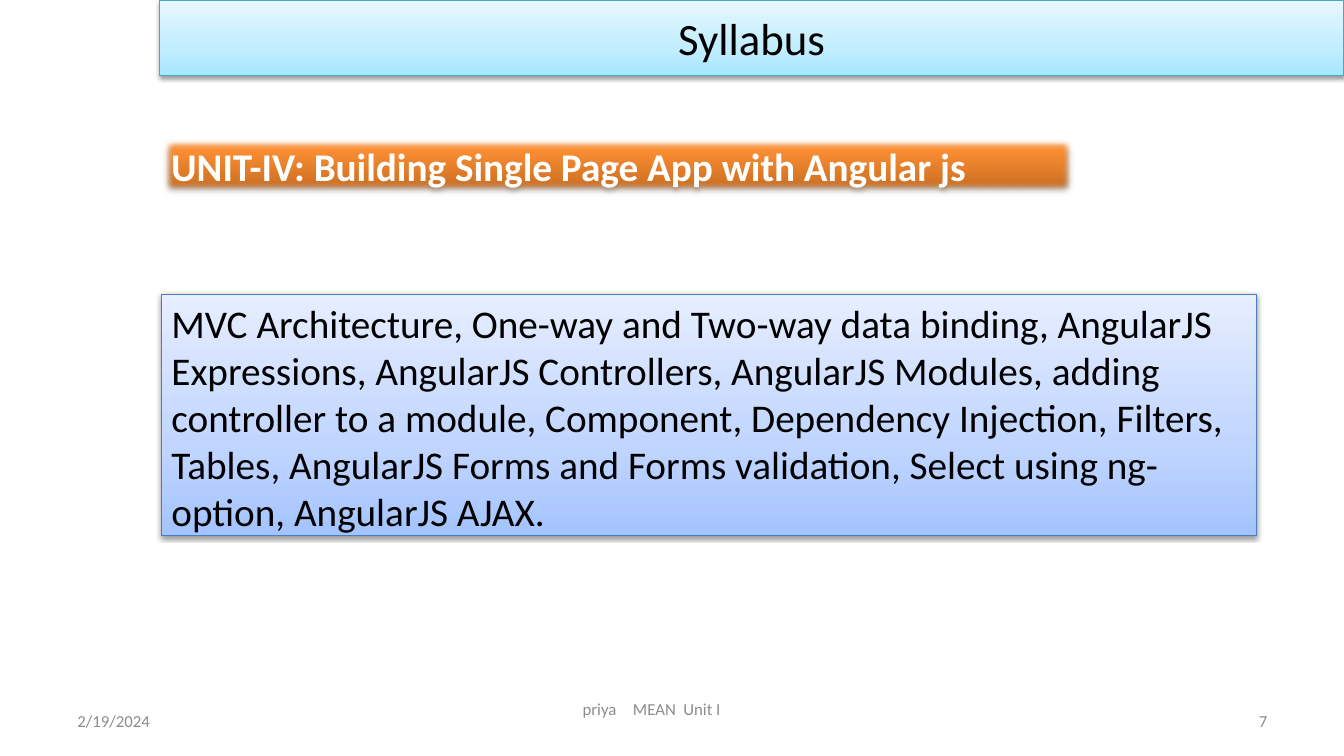
from lxml import etree
from pptx import Presentation
from pptx.dml.color import RGBColor
from pptx.enum.shapes import MSO_SHAPE
from pptx.enum.text import MSO_ANCHOR, MSO_AUTO_SIZE, PP_ALIGN as ALIGN
from pptx.oxml.ns import qn
from pptx.util import Inches, Pt


def rgb(code):
    return RGBColor.from_string(code)


def add(parent, tag, **attrs):
    return etree.SubElement(parent, qn(tag), {k: str(v) for k, v in attrs.items()})


def place(sp, box):
    sp.left, sp.top, sp.width, sp.height = [Inches(v) for v in box]


def style_panel(sp, stops, line=None, shadow=(38, 1.6), soft=0):
    """Upward gradient, optional thin outline, drop shadow and soft edge."""
    spPr = sp._element.spPr
    grad = add(spPr, "a:gradFill", rotWithShape=1)
    stop_list = add(grad, "a:gsLst")
    for pos, color in stops:
        add(add(stop_list, "a:gs", pos=pos * 1000), "a:srgbClr", val=color)
    add(grad, "a:lin", ang=270 * 60000, scaled=0)
    if line:
        sp.line.color.rgb = rgb(line)
        sp.line.width = Pt(0.75)
    else:
        sp.line.fill.background()
    opacity, dist = shadow
    effects = add(spPr, "a:effectLst")
    outer = add(effects, "a:outerShdw", blurRad=Pt(3.1), dist=Pt(dist),
                dir=90 * 60000, rotWithShape=0)
    add(add(outer, "a:srgbClr", val="000000"), "a:alpha", val=opacity * 1000)
    if soft:
        add(effects, "a:softEdge", rad=Pt(soft))


def write(sp, text, size, color, align=ALIGN.LEFT, anchor=MSO_ANCHOR.TOP,
          bold=False, tabs=()):
    tf = sp.text_frame
    tf.word_wrap = True
    tf.auto_size = MSO_AUTO_SIZE.NONE
    tf.vertical_anchor = anchor
    p = tf.paragraphs[0]
    p.text = text
    p.alignment = align
    p.space_before = Pt(0)
    pPr = p._p.get_or_add_pPr()
    pPr.set("marL", "0")
    pPr.set("indent", "0")
    add(pPr, "a:buNone")
    if tabs:
        tab_list = add(pPr, "a:tabLst")
        for pos in tabs:
            add(tab_list, "a:tab", pos=Inches(pos), algn="l")
    p.font.name = "Calibri"
    p.font.size = Pt(size)
    p.font.bold = bold
    p.font.color.rgb = rgb(color)


def add_title(slide, box, text):
    sp = slide.shapes.title
    place(sp, box)
    style_panel(sp, [(0, "A7E6FF"), (35, "C1EDFF"), (100, "E7F8FF")], "46AAC5")
    write(sp, text, 32, "000000", ALIGN.CENTER, MSO_ANCHOR.MIDDLE)


def add_unit_bar(slide, box, text):
    sp = slide.shapes.add_shape(MSO_SHAPE.RECTANGLE, *[Inches(v) for v in box])
    style_panel(sp, [(0, "C2691F"), (80, "FF9034"), (100, "FF9136")],
                shadow=(35, 1.8), soft=5)
    write(sp, text, 28, "FFFFFF", ALIGN.JUSTIFY, bold=True)


def add_topics(slide, box, text):
    sp = slide.placeholders[1]
    place(sp, box)
    style_panel(sp, [(0, "A4C4FF"), (35, "BFD4FF"), (100, "E6EEFF")], "4B7EBC")
    write(sp, text, 28, "000000")


def add_footer(slide, box, date, parts, number):
    left, top, width, height = box
    side = 3.11
    cells = [
        ((left, top, side, height), date, ALIGN.LEFT, ()),
        ((5.68, top - 0.12, 4.24, height), "\t".join(parts), ALIGN.LEFT, (1.35, 2.72)),
        ((left + width - side, top, side, height), number, ALIGN.RIGHT, ()),
    ]
    for cell, text, align, tabs in cells:
        sp = slide.shapes.add_textbox(*[Inches(v) for v in cell])
        write(sp, text, 12, "8C8C8C", align, MSO_ANCHOR.MIDDLE, tabs=tabs)


def main():
    prs = Presentation()
    prs.slide_width, prs.slide_height = Inches(13.33), Inches(7.5)
    slide = prs.slides.add_slide(prs.slide_layouts[1])

    add_footer(slide, (0.67, 6.95, 12, 0.4), "2/19/2024",
               ["priya", "MEAN", "Unit I"], "7")
    add_title(slide, (1.58, 0, 11.75, 0.75), "Syllabus")
    add_unit_bar(slide, (1.6, 1.36, 9.06, 0.57),
                 "UNIT-IV: Building Single Page App with Angular js")
    add_topics(slide, (1.6, 2.92, 10.86, 2.39),
               "MVC Architecture, One-way and Two-way data binding, AngularJS "
               "Expressions, AngularJS Controllers, AngularJS Modules, adding "
               "controller to a module, Component, Dependency Injection, Filters, "
               "Tables, AngularJS Forms and Forms validation, Select using "
               "ng-option, AngularJS AJAX.")
    prs.save("out.pptx")


if __name__ == "__main__":
    main()
